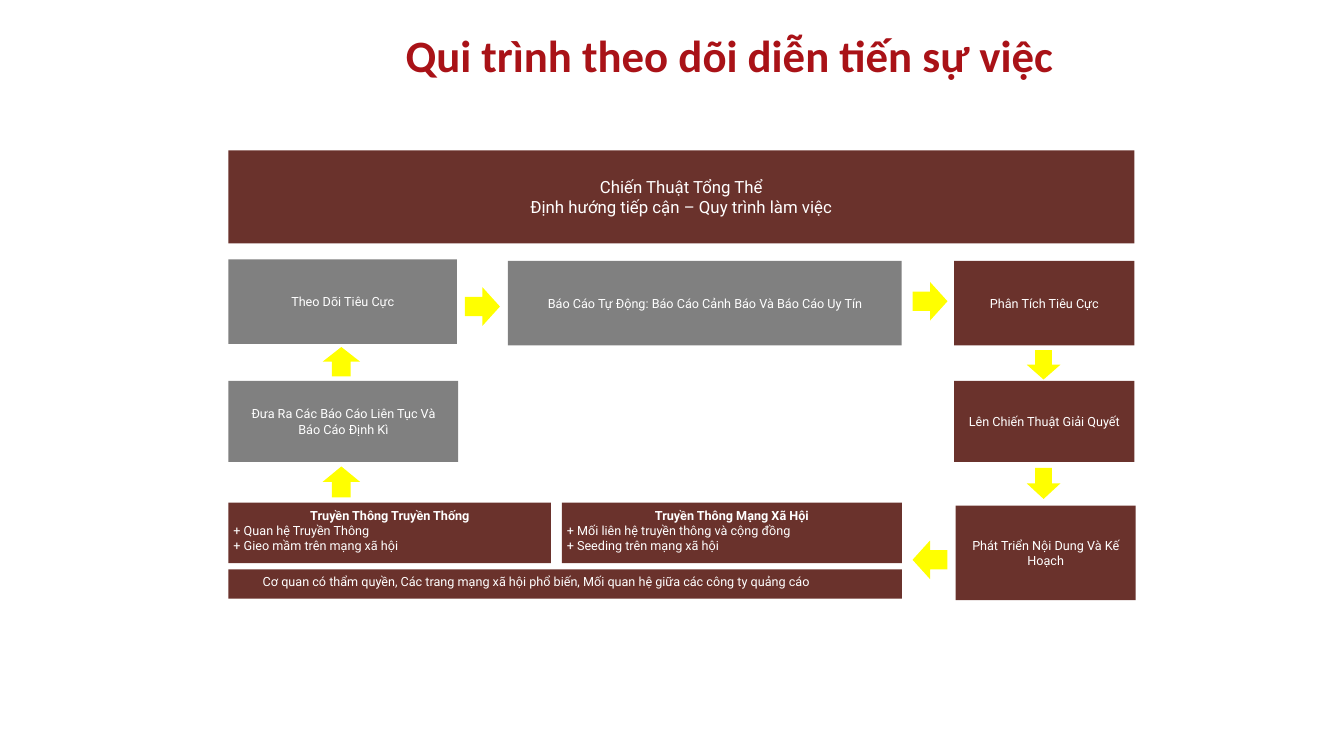
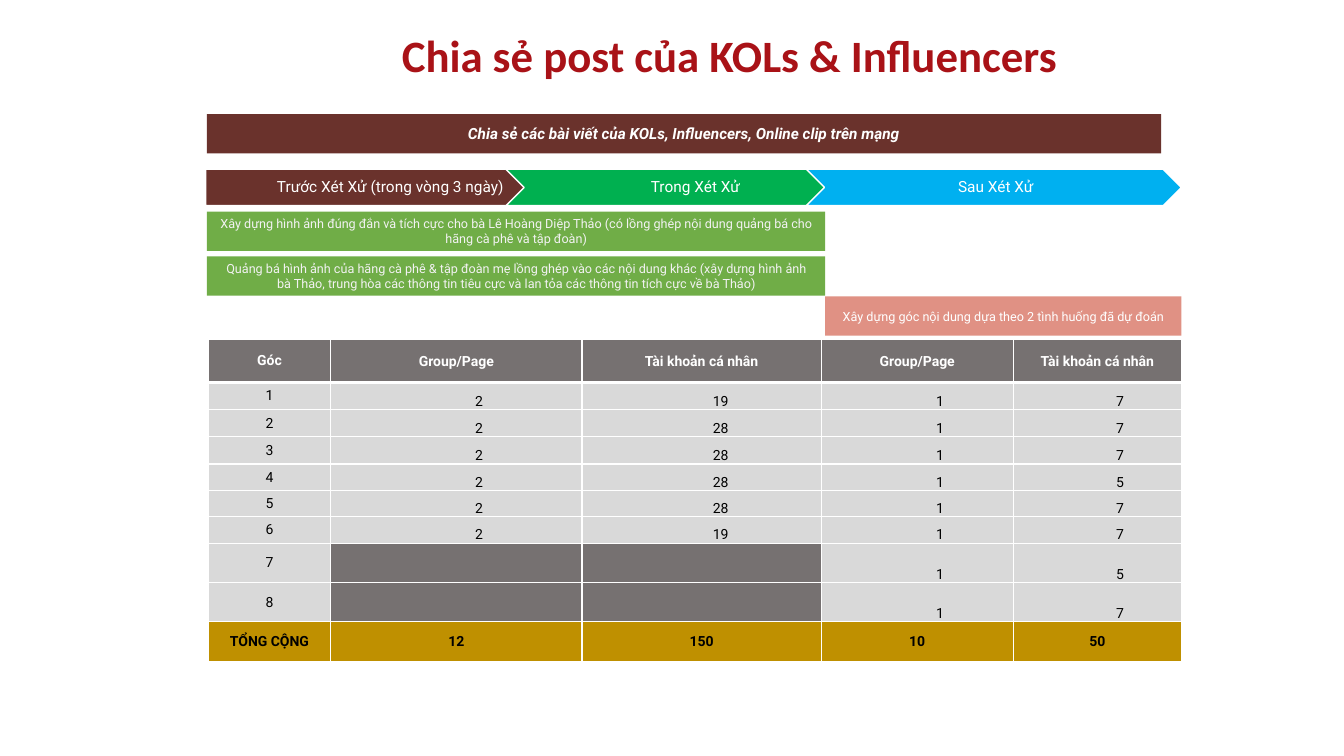
from lxml.etree import SubElement, fromstring
from pptx import Presentation
from pptx.dml.color import RGBColor
from pptx.enum.shapes import MSO_SHAPE as SHAPE
from pptx.enum.text import MSO_ANCHOR as ANCHOR, PP_ALIGN as ALIGN
from pptx.oxml.ns import nsdecls, qn
from pptx.util import Inches, Pt

RED = RGBColor(0xA9, 0x12, 0x17)
BROWN = RGBColor(0x6A, 0x32, 0x2C)
GREY = RGBColor(0x80, 0x80, 0x80)
YELLOW = RGBColor(0xFF, 0xFF, 0x00)
GREEN = RGBColor(0x00, 0xB0, 0x50)
BLUE = RGBColor(0x00, 0xB0, 0xF0)
LEAF = RGBColor(0x70, 0xAD, 0x47)
PINK = RGBColor(0xE0, 0x91, 0x84)
DARK_GREY = RGBColor(0x76, 0x71, 0x71)
LIGHT_GREY = RGBColor(0xD9, 0xD9, 0xD9)
GOLD = RGBColor(0xBF, 0x90, 0x00)
OFF_WHITE = RGBColor(0xF2, 0xF2, 0xF2)
WHITE = RGBColor(0xFF, 0xFF, 0xFF)
BLACK = RGBColor(0x00, 0x00, 0x00)

deck = Presentation()
deck.slide_width = Inches(13.33)
deck.slide_height = Inches(7.5)
COLUMN = deck.slide_width / 100
ROW = deck.slide_height / 100


def add_page(title_text):
    page = deck.slides.add_slide(deck.slide_layouts[5])
    title = page.shapes.title
    title.left, title.top = round(24.1 * COLUMN), round(3.5 * ROW)
    title.width, title.height = round(60.4 * COLUMN), round(7.5 * ROW)
    frame = title.text_frame
    frame.text = title_text
    frame.vertical_anchor = ANCHOR.MIDDLE
    frame.margin_left = frame.margin_right = Inches(0.03)
    frame.margin_top = frame.margin_bottom = Inches(0.03)
    para = frame.paragraphs[0]
    para.alignment = ALIGN.CENTER
    font = para.runs[0].font
    font.name, font.size, font.bold = "Calibri", Pt(32), True
    font.color.rgb = RED
    return page


def add_box(page, left, top, width, height, fill, text="", size=9,
            kind=SHAPE.RECTANGLE, color=WHITE):
    box = page.shapes.add_shape(kind, round(left * COLUMN), round(top * ROW),
                                round(width * COLUMN), round(height * ROW))
    box.shadow.inherit = False
    box.fill.solid()
    box.fill.fore_color.rgb = fill
    box.line.fill.background()
    if text:
        frame = box.text_frame
        frame.text = text
        frame.word_wrap = True
        frame.vertical_anchor = ANCHOR.MIDDLE
        frame.margin_left = frame.margin_right = Inches(0.11)
        frame.margin_top = frame.margin_bottom = Inches(0.05)
        for para in frame.paragraphs:
            para.alignment = ALIGN.CENTER
            for span in para.runs:
                span.font.name, span.font.size = "Roboto", Pt(size)
                span.font.color.rgb = color
    return box


page = add_page("Qui trình theo dõi diễn tiến sự việc")
add_box(page, 17, 19.9, 67.4, 12.3, BROWN,
        "Chiến Thuật Tổng Thể\nĐịnh hướng tiếp cận – Quy trình làm việc", size=12)

steps = [
    (17, 34.3, 17, 11.2, GREY, "Theo Dõi Tiêu Cực"),
    (37.8, 34.5, 29.3, 11.2, GREY,
     "Báo Cáo Tự Động: Báo Cáo Cảnh Báo Và Báo Cáo Uy Tín"),
    (71, 34.5, 13.4, 11.2, BROWN, "Phân Tích Tiêu Cực"),
    (71, 50.4, 13.4, 10.7, BROWN, "Lên Chiến Thuật Giải Quyết"),
    (71.1, 66.9, 13.4, 12.5, BROWN, "Phát Triển Nội Dung Và Kế Hoạch"),
    (17, 50.4, 17.1, 10.7, GREY, "Đưa Ra Các Báo Cáo Liên Tục Và Báo Cáo Định Kì"),
]
for step in steps:
    add_box(page, *step)

media = [
    (17, 24, "Truyền Thông Truyền Thống\n+ Quan hệ Truyền Thông\n"
             "+ Gieo mầm trên mạng xã hội"),
    (41.8, 25.3, "Truyền Thông Mạng Xã Hội\n+ Mối liên hệ truyền thông và cộng đồng\n"
                 "+ Seeding trên mạng xã hội"),
]
for left, width, text in media:
    frame = add_box(page, left, 66.5, width, 8, BROWN, text).text_frame
    frame.vertical_anchor = ANCHOR.TOP
    frame.margin_left = frame.margin_right = Inches(0.05)
    heading, *items = frame.paragraphs
    heading.runs[0].font.bold = True
    for item in items:
        item.alignment = ALIGN.LEFT

partners = add_box(page, 17, 75.3, 50.1, 3.9, BROWN,
                   "Cơ quan có thẩm quyền, Các trang mạng xã hội phổ biến, "
                   "Mối quan hệ giữa các công ty quảng cáo").text_frame
partners.vertical_anchor = ANCHOR.TOP
partners.margin_left, partners.margin_right = Inches(0.05), Inches(0.63)

arrows = [
    (34.6, 38, 2.6, 5.1, SHAPE.RIGHT_ARROW),
    (67.9, 37.3, 2.6, 5.1, SHAPE.RIGHT_ARROW),
    (76.4, 46.3, 2.5, 3.9, SHAPE.DOWN_ARROW),
    (76.4, 61.9, 2.5, 4.1, SHAPE.DOWN_ARROW),
    (67.9, 71.5, 2.6, 5.1, SHAPE.LEFT_ARROW),
    (24, 61.7, 2.8, 4.1, SHAPE.UP_ARROW),
    (24, 45.9, 2.8, 3.9, SHAPE.UP_ARROW),
]
for left, top, width, height, kind in arrows:
    add_box(page, left, top, width, height, YELLOW, kind=kind)

page = add_page("Chia sẻ post của KOLs & Influencers")
banner = add_box(page, 15.4, 15.1, 71, 5.2, BROWN,
                 "Chia sẻ các bài viết của KOLs, Influencers, Online clip trên mạng",
                 size=11)
para = banner.text_frame.paragraphs[0]
para.line_spacing = Pt(12)
para.runs[0].font.bold = para.runs[0].font.italic = True

phases = [
    ("Trước Xét Xử (trong vòng 3 ngày)", BROWN, SHAPE.PENTAGON),
    ("Trong Xét Xử", GREEN, SHAPE.CHEVRON),
    ("Sau Xét Xử", BLUE, SHAPE.CHEVRON),
]
for index, (text, fill, kind) in enumerate(phases):
    phase = add_box(page, 15.3 + 22.35 * index, 22.4, 27.9, 4.8, fill, text,
                    size=11, kind=kind)
    phase.line.color.rgb = WHITE
    phase.line.width = Pt(1)
    frame = phase.text_frame
    frame.margin_left, frame.margin_right = Inches(0.06), Inches(0.02)
    frame.margin_top = frame.margin_bottom = Inches(0.03)
    frame.paragraphs[0].line_spacing = 0.9

messages = [
    (15.4, 28, 46, LEAF, OFF_WHITE,
     "Xây dựng hình ảnh đúng đắn và tích cực cho bà Lê Hoàng Diệp Thảo "
     "(có lồng ghép nội dung quảng bá cho hãng cà phê và tập đoàn)"),
    (15.4, 33.9, 46, LEAF, OFF_WHITE,
     "Quảng bá hình ảnh của hãng cà phê & tập đoàn mẹ lồng ghép vào các nội dung "
     "khác (xây dựng hình ảnh bà Thảo, trung hòa các thông tin tiêu cực và lan tỏa "
     "các thông tin tích cực về bà Thảo)"),
    (61.4, 39.2, 26.5, PINK, WHITE,
     "Xây dựng góc nội dung dựa theo 2 tình huống đã dự đoán"),
]
for left, top, width, fill, color, text in messages:
    add_box(page, left, top, width, 5.2, fill, text, color=color)

records = [
    ("Góc", "Group/Page", "Tài khoản cá nhân", "Group/Page", "Tài khoản cá nhân"),
    ("1", "2", "19", "1", "7"),
    ("2", "2", "28", "1", "7"),
    ("3", "2", "28", "1", "7"),
    ("4", "2", "28", "1", "5"),
    ("5", "2", "28", "1", "7"),
    ("6", "2", "19", "1", "7"),
    ("7", "", "", "1", "5"),
    ("8", "", "", "1", "7"),
    ("TỔNG CỘNG", "12", "150", "10", "50"),
]
column_widths = [9.1, 18.7, 17.8, 14.3, 12.5]
row_heights = [5.7] + [3.6] * 3 + [3.5] * 3 + [5.2] * 3
value_indents = [0.1, 0.46, 0.39, 0.46, 0.46]
last = len(records) - 1

table = page.shapes.add_table(
    len(records), len(column_widths), round(15.5 * COLUMN), round(44.9 * ROW),
    round(sum(column_widths) * COLUMN), round(sum(row_heights) * ROW)).table
table.first_row = table.horz_banding = False
for column, width in zip(table.columns, column_widths):
    column.width = round(width * COLUMN)
for row, height in zip(table.rows, row_heights):
    row.height = round(height * ROW)

for r, record in enumerate(records):
    for c, text in enumerate(record):
        cell = table.cell(r, c)
        strong = r in (0, last)
        is_value = c > 0 and not strong
        cell.text = text
        cell.vertical_anchor = ANCHOR.BOTTOM if is_value else ANCHOR.MIDDLE
        if c > 0:
            cell.margin_left = Inches(value_indents[c] if is_value else 0.01)
            cell.margin_right = cell.margin_top = Inches(0.01)
            cell.margin_bottom = 0
        para = cell.text_frame.paragraphs[0]
        para.alignment = ALIGN.CENTER
        for span in para.runs:
            span.font.name, span.font.size = "Roboto", Pt(10)
            span.font.bold = strong
            span.font.color.rgb = WHITE if r == 0 else BLACK
        cell.fill.solid()
        if r == last:
            cell.fill.fore_color.rgb = GOLD
        else:
            cell.fill.fore_color.rgb = DARK_GREY if r == 0 or not text else LIGHT_GREY
        properties = cell._tc.get_or_add_tcPr()
        for index, side in enumerate(("lnL", "lnR", "lnT", "lnB")):
            thick = (r, side) in ((0, "lnB"), (1, "lnT"))
            border = fromstring(f'<a:{side} {nsdecls("a")} w="{Pt(3 if thick else 1)}"/>')
            line_fill = SubElement(border, qn("a:solidFill"))
            SubElement(line_fill, qn("a:srgbClr"), val=str(WHITE))
            properties.insert(index, border)

deck.save("out.pptx")
